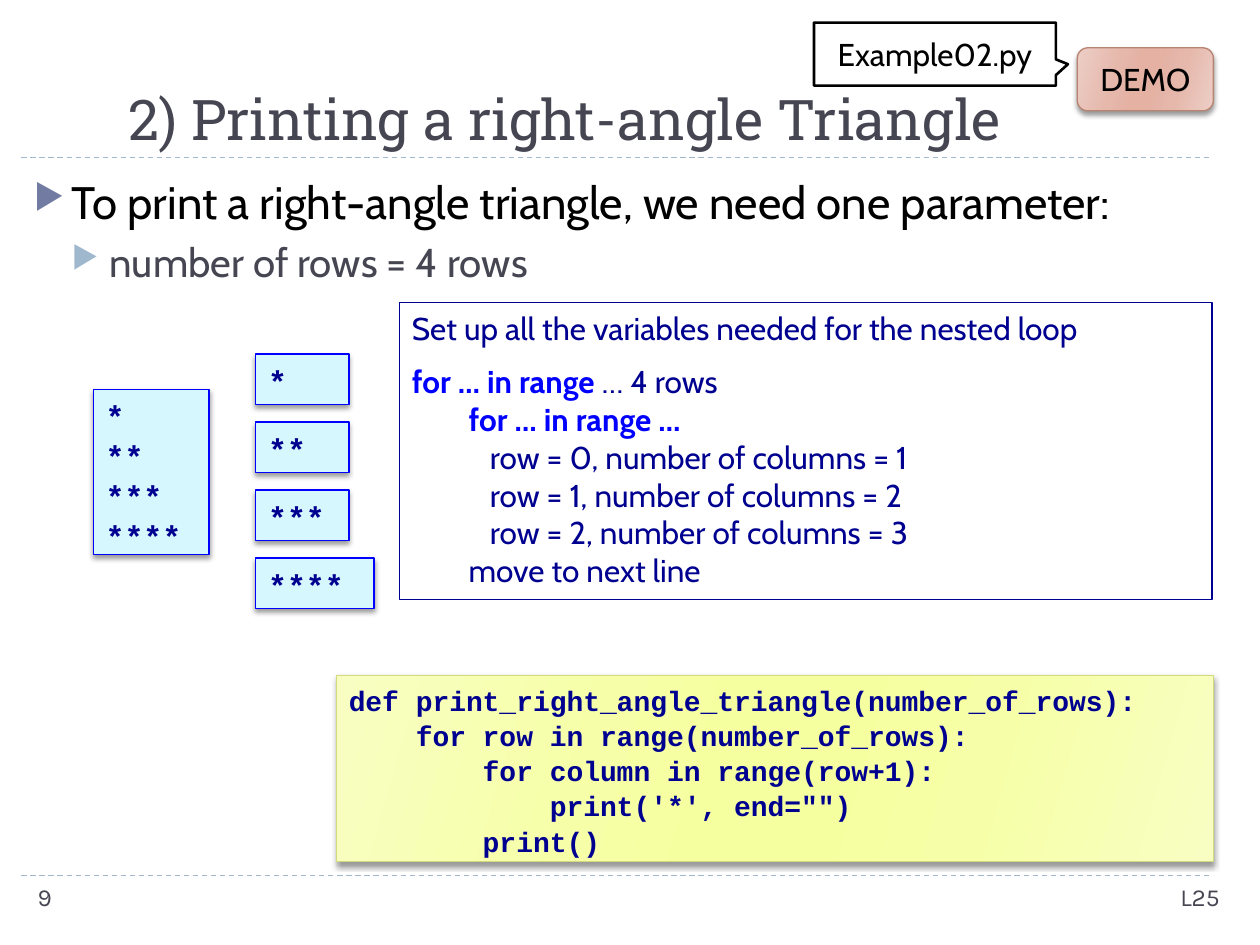
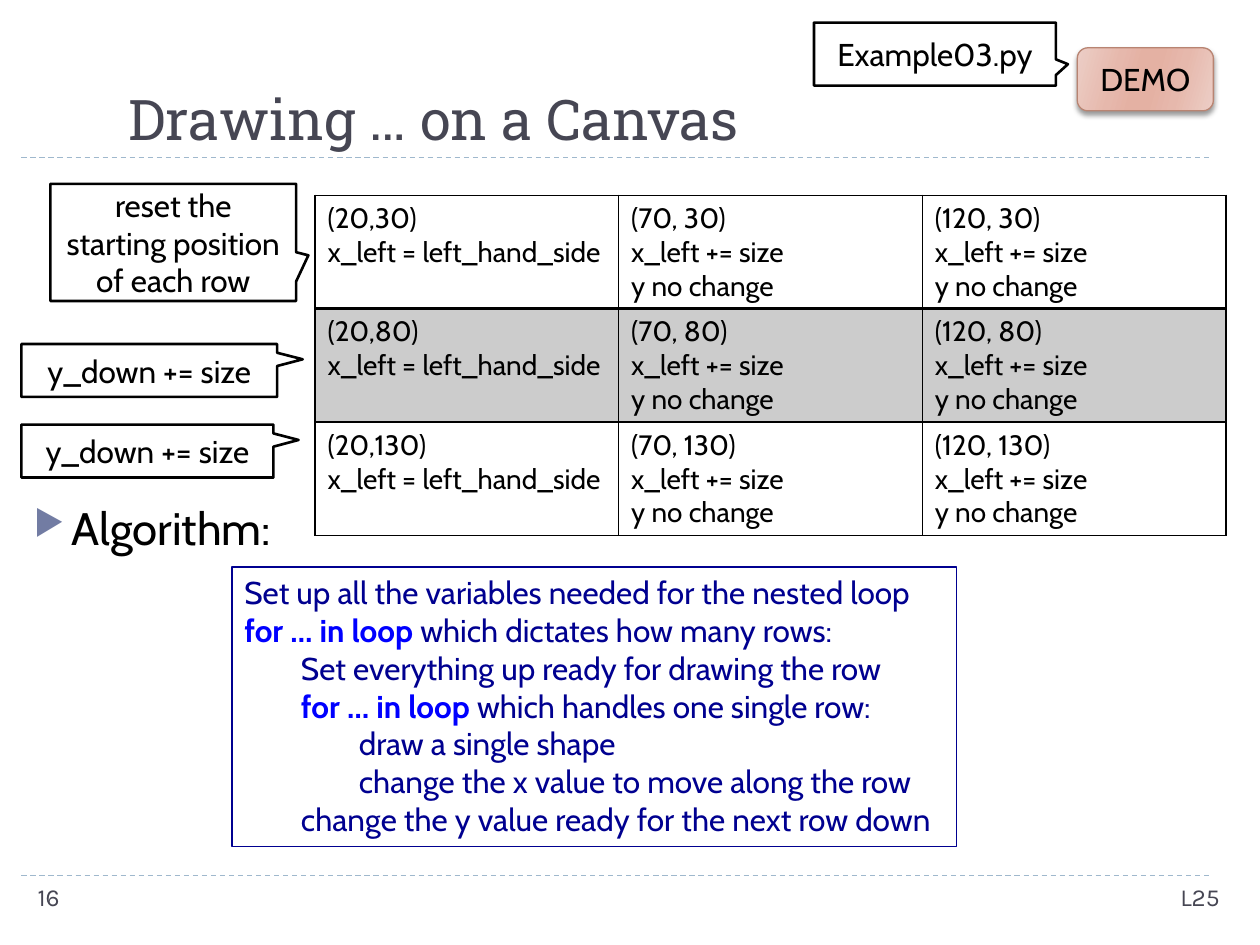
from dataclasses import dataclass

from lxml import etree
from pptx import Presentation
from pptx.dml.color import RGBColor
from pptx.enum.dml import MSO_LINE
from pptx.enum.shapes import MSO_CONNECTOR, MSO_SHAPE
from pptx.enum.text import MSO_ANCHOR, PP_ALIGN
from pptx.oxml.ns import qn
from pptx.util import Inches, Pt

RECTANGLE = MSO_SHAPE.RECTANGLE
ROUNDED = MSO_SHAPE.ROUNDED_RECTANGLE
CALLOUT = MSO_SHAPE.RECTANGULAR_CALLOUT
STRAIGHT = MSO_CONNECTOR.STRAIGHT
DASH = MSO_LINE.DASH
TOP, MIDDLE, BOTTOM = MSO_ANCHOR.TOP, MSO_ANCHOR.MIDDLE, MSO_ANCHOR.BOTTOM
LEFT, CENTER, RIGHT = PP_ALIGN.LEFT, PP_ALIGN.CENTER, PP_ALIGN.RIGHT

CELL = 0.1
COLUMNS, ROWS = 100, 75
BLACK, WHITE, GRAY = "000000", "FFFFFF", "CCCCCC"
SLATE, STEEL, PALE_BLUE = "464653", "727CA3", "9FB8CD"
NAVY, BLUE, ICE = "000090", "0000FF", "D7F7FF"
ROSE, ROSE_EDGE = ("ECCEC6", "E6B8AC", "E4B1A3"), "B88472"
LIME, LIME_EDGE = ("F8FEC2", "F6FFA7", "F6FF9F"), "D2DA7A"
GRADIENT_STOPS = ((0, 0), (30, 1), (45, 2), (55, 2), (73, 1), (100, 0))


@dataclass
class Box:
    """A rectangle measured in grid columns and rows."""
    left: float
    top: float
    width: float
    height: float

    def place(self, left, top, width, height):
        """Return a box placed relative to this one."""
        return Box(self.left + left, self.top + top, width, height)

    def lengths(self):
        """Return left, top, width and height as slide lengths."""
        return [Inches(value * CELL) for value in (self.left, self.top, self.width, self.height)]


@dataclass
class Style:
    """The type style of a paragraph."""
    font: str
    size: float
    color: str
    bold: bool = False
    align: int = LEFT
    spacing: float = 1.0


@dataclass
class Line:
    """A paragraph with an optional highlighted keyword in front."""
    text: str
    keyword: str = ""
    indent: float = 0
    before: float = 0
    bullet: str = ""


PAGE = Box(0, 0, COLUMNS, ROWS)
TITLE = Style("Roboto Slab", 32, SLATE)
POINT = Style("Cabin", 26, BLACK)
SUBPOINT = Style("Cabin", 23, SLATE)
LABEL = Style("Cabin", 18, BLACK, align=CENTER)
TABLE_TEXT = Style("Cabin", 16, BLACK)
ALGORITHM = Style("Cabin", 18, NAVY)
STARS = Style("Courier New", 18, NAVY, bold=True, spacing=1.05)
CODE = Style("Courier New", 16, NAVY, bold=True, spacing=1.05)
FOOTER = Style("Karla", 14, SLATE)
FOOTER_RIGHT = Style("Karla", 14, SLATE, align=RIGHT)


def rgb(color):
    """Turn a hex string into a colour."""
    return RGBColor.from_string(color)


def add_element(parent, tag, **attributes):
    """Append a DrawingML element."""
    element = etree.SubElement(parent, qn(tag))
    for name, value in attributes.items():
        element.set(name, str(value))
    return element


def add_bullet(paragraph, color):
    """Give a paragraph a hanging triangle bullet."""
    properties = paragraph._p.get_or_add_pPr()
    properties.set("indent", str(-Inches(0.3)))
    add_element(add_element(properties, "a:buClr"), "a:srgbClr", val=color)
    add_element(properties, "a:buSzPct", val=76000)
    add_element(properties, "a:buChar", char="▶")


def write_line(paragraph, line, style):
    """Fill one paragraph."""
    if line.indent:
        paragraph._p.get_or_add_pPr().set("marL", str(Inches(line.indent)))
    if line.bullet:
        add_bullet(paragraph, line.bullet)
    paragraph.alignment = style.align
    paragraph.line_spacing = style.spacing
    paragraph.space_before = Pt(line.before)
    paragraph.font.name = style.font
    paragraph.font.size = Pt(style.size)
    paragraph.font.bold = style.bold
    paragraph.font.color.rgb = rgb(style.color)
    if line.keyword:
        run = paragraph.add_run()
        run.text = line.keyword
        run.font.bold = True
        run.font.color.rgb = rgb(BLUE)
    if line.text:
        paragraph.add_run().text = line.text


def write_lines(frame, lines, style, anchor=TOP):
    """Fill a text frame with lines, given as Line objects or plain strings."""
    frame.word_wrap = True
    frame.vertical_anchor = anchor
    for index, line in enumerate(lines):
        paragraph = frame.add_paragraph() if index else frame.paragraphs[0]
        write_line(paragraph, line if isinstance(line, Line) else Line(line), style)


def add_text(slide, box, lines, style, anchor=TOP):
    """Add a plain text box."""
    shape = slide.shapes.add_textbox(*box.lengths())
    write_lines(shape.text_frame, lines, style, anchor)
    return shape


def fill_gradient(shape, colors):
    """Fill a shape with a mirrored gradient."""
    shape.fill.gradient()
    shape.fill.gradient_angle = 344
    stops = shape.element.spPr.find(qn("a:gradFill")).find(qn("a:gsLst"))
    for stop in list(stops):
        stops.remove(stop)
    for position, index in GRADIENT_STOPS:
        stop = add_element(stops, "a:gs", pos=position * 1000)
        add_element(stop, "a:srgbClr", val=colors[index])


def add_shadow(shape):
    """Put a soft shadow below a shape."""
    effects = shape.element.spPr.find(qn("a:effectLst"))
    shadow = add_element(effects, "a:outerShdw", blurRad=Pt(3), dist=Pt(2),
                         dir=5400000, rotWithShape=0)
    add_element(add_element(shadow, "a:srgbClr", val=BLACK), "a:alpha", val=40000)


def add_panel(slide, box, lines, style, fill, edge, kind=RECTANGLE,
              weight=0.75, anchor=TOP, shadow=False):
    """Add an outlined shape that holds text."""
    shape = slide.shapes.add_shape(kind, *box.lengths())
    shape.shadow.inherit = False
    if isinstance(fill, tuple):
        fill_gradient(shape, fill)
    else:
        shape.fill.solid()
        shape.fill.fore_color.rgb = rgb(fill)
    shape.line.color.rgb = rgb(edge)
    shape.line.width = Pt(weight)
    if shadow:
        add_shadow(shape)
    write_lines(shape.text_frame, lines, style, anchor)
    return shape


def add_callout(slide, box, text, tip):
    """Add a speech callout whose tip is given as shares from its centre."""
    shape = add_panel(slide, box, [text], LABEL, WHITE, BLACK, CALLOUT, 1.5, MIDDLE)
    shape.adjustments[0], shape.adjustments[1] = tip


def add_rule(slide, box):
    """Draw a dashed rule along the top of a box."""
    left, top, width, _ = box.lengths()
    rule = slide.shapes.add_connector(STRAIGHT, left, top, left + width, top)
    rule.line.color.rgb = rgb(PALE_BLUE)
    rule.line.width = Pt(0.75)
    rule.line.dash_style = DASH
    add_element(rule.element.spPr, "a:effectLst")


def add_frame(presentation, title, file_name, number):
    """Add a slide with its title, rules, demo badge and footer."""
    slide = presentation.slides.add_slide(presentation.slide_layouts[6])
    for row in (12.5, 69.5):
        add_rule(slide, PAGE.place(1.7, row, 94.5, 0))
    add_text(slide, PAGE.place(9.2, 1.7, 88.1, 10.8), [title], TITLE, BOTTOM)
    badge = PAGE.place(64.6, 1.8, 31.7, 7)
    add_panel(slide, badge.place(20.9, 2, 10.8, 5), ["DEMO"], LABEL, ROSE, ROSE_EDGE,
              ROUNDED, anchor=MIDDLE, shadow=True)
    add_callout(slide, badge.place(0, 0, 19.2, 5), file_name, (0.55, 0.16))
    footer = PAGE.place(2, 69.5, 95.8, 4)
    add_text(slide, footer.place(70.8, 0, 25, 4), ["L25"], FOOTER_RIGHT)
    add_text(slide, footer.place(0, 0, 21.7, 4), [str(number)], FOOTER)
    return slide


def add_star_rows(slide, box, count):
    """Show the whole triangle and, beside it, each of its rows."""
    rows = ["*" * (index + 1) for index in range(count)]
    add_panel(slide, box.place(0, 2.8, 9.2, 13.1), rows, STARS, ICE, BLUE, shadow=True)
    for index, row in enumerate(rows):
        width = 9.4 if index == count - 1 else 7.4
        add_panel(slide, box.place(12.9, 5.4 * index, width, 4), [row], STARS,
                  ICE, BLUE, shadow=True)


def add_algorithm(slide, box, lines):
    """Show an algorithm in a navy outline."""
    add_panel(slide, box, lines, ALGORITHM, WHITE, NAVY)


def set_borders(cell, bottom):
    """Outline a table cell in black."""
    properties = cell._tc.get_or_add_tcPr()
    for side, weight in (("L", 1), ("R", 1), ("T", 1), ("B", bottom)):
        line = add_element(properties, f"a:ln{side}", w=Pt(weight))
        add_element(add_element(line, "a:solidFill"), "a:srgbClr", val=BLACK)


def add_position_table(slide, box, lefts, tops):
    """Show how the drawing position changes over a grid of squares."""
    table = slide.shapes.add_table(len(tops), len(lefts), *box.lengths()).table
    table.first_row = table.horz_banding = False
    for row, top in enumerate(tops):
        table.rows[row].height = Inches(box.height * CELL / len(tops))
        for column, left in enumerate(lefts):
            table.columns[column].width = Inches(box.width * CELL / len(lefts))
            cell = table.cell(row, column)
            set_borders(cell, 1 if row else 2)
            cell.fill.solid()
            cell.fill.fore_color.rgb = rgb(GRAY if row == 1 else WHITE)
            if column:
                lines = [f"({left}, {top})", "x_left += size", "y no change"]
            else:
                lines = [f"({left},{top})", "x_left = left_hand_side"]
            write_lines(cell.text_frame, lines, TABLE_TEXT)


def build_triangle_slide(presentation):
    """Build the slide about printing a triangle."""
    slide = add_frame(presentation, "2) Printing a right-angle Triangle", "Example02.py", 9)
    body = add_text(slide, PAGE.place(1.7, 13.3, 95.8, 10), [
        Line("To print a right-angle triangle, we need one parameter:", indent=0.3, bullet=STEEL),
    ], POINT)
    write_line(body.text_frame.add_paragraph(),
               Line("number of rows = 4 rows", indent=0.6, before=5, bullet=PALE_BLUE), SUBPOINT)
    add_star_rows(slide, PAGE.place(7.4, 28.1, 22.3, 20.3), 4)
    add_algorithm(slide, PAGE.place(31.7, 24, 64.5, 23.6), [
        "Set up all the variables needed for the nested loop",
        Line("… 4 rows", "for … in range ", before=9),
        Line("", "for … in range …", 0.45),
        *[Line(f"row = {row}, number of columns = {row + 1}", indent=0.62) for row in range(3)],
        Line("move to next line", indent=0.45),
    ])
    add_panel(slide, PAGE.place(26.7, 53.6, 69.6, 14.8), [
        "def print_right_angle_triangle(number_of_rows):",
        "    for row in range(number_of_rows):",
        "        for column in range(row+1):",
        "            print('*', end=\"\")",
        "        print()",
    ], CODE, LIME, LIME_EDGE, shadow=True)


def build_canvas_slide(presentation):
    """Build the slide about drawing on a canvas."""
    slide = add_frame(presentation, "Drawing … on a Canvas", "Example03.py", 16)
    add_position_table(slide, PAGE.place(25, 15.5, 72.3, 27), (20, 70, 120), (30, 80, 130))
    notes = PAGE.place(1.7, 14.6, 21.8, 23.3)
    add_callout(slide, notes.place(2.3, 0, 19.5, 9.3),
                "reset the starting position of each row", (0.55, 0.11))
    for row, width in ((12.7, 20.3), (19.1, 20)):
        add_callout(slide, notes.place(0, row, width, 4.2), "y_down += size", (0.6, -0.21))
    add_text(slide, PAGE.place(1.7, 39.2, 23, 5.5),
             [Line("Algorithm:", indent=0.3, bullet=STEEL)], POINT)
    add_algorithm(slide, PAGE.place(18.4, 45, 57.5, 22.2), [
        "Set up all the variables needed for the nested loop",
        Line("which dictates how many rows:", "for … in loop "),
        Line("Set everything up ready for drawing the row", indent=0.45),
        Line("which handles one single row:", "for … in loop ", 0.45),
        Line("draw a single shape", indent=0.91),
        Line("change the x value to move along the row", indent=0.91),
        Line("change the y value ready for the next row down", indent=0.45),
    ])


def main():
    """Build and save the presentation."""
    presentation = Presentation()
    presentation.slide_width = Inches(COLUMNS * CELL)
    presentation.slide_height = Inches(ROWS * CELL)
    build_triangle_slide(presentation)
    build_canvas_slide(presentation)
    presentation.save("out.pptx")


if __name__ == "__main__":
    main()
